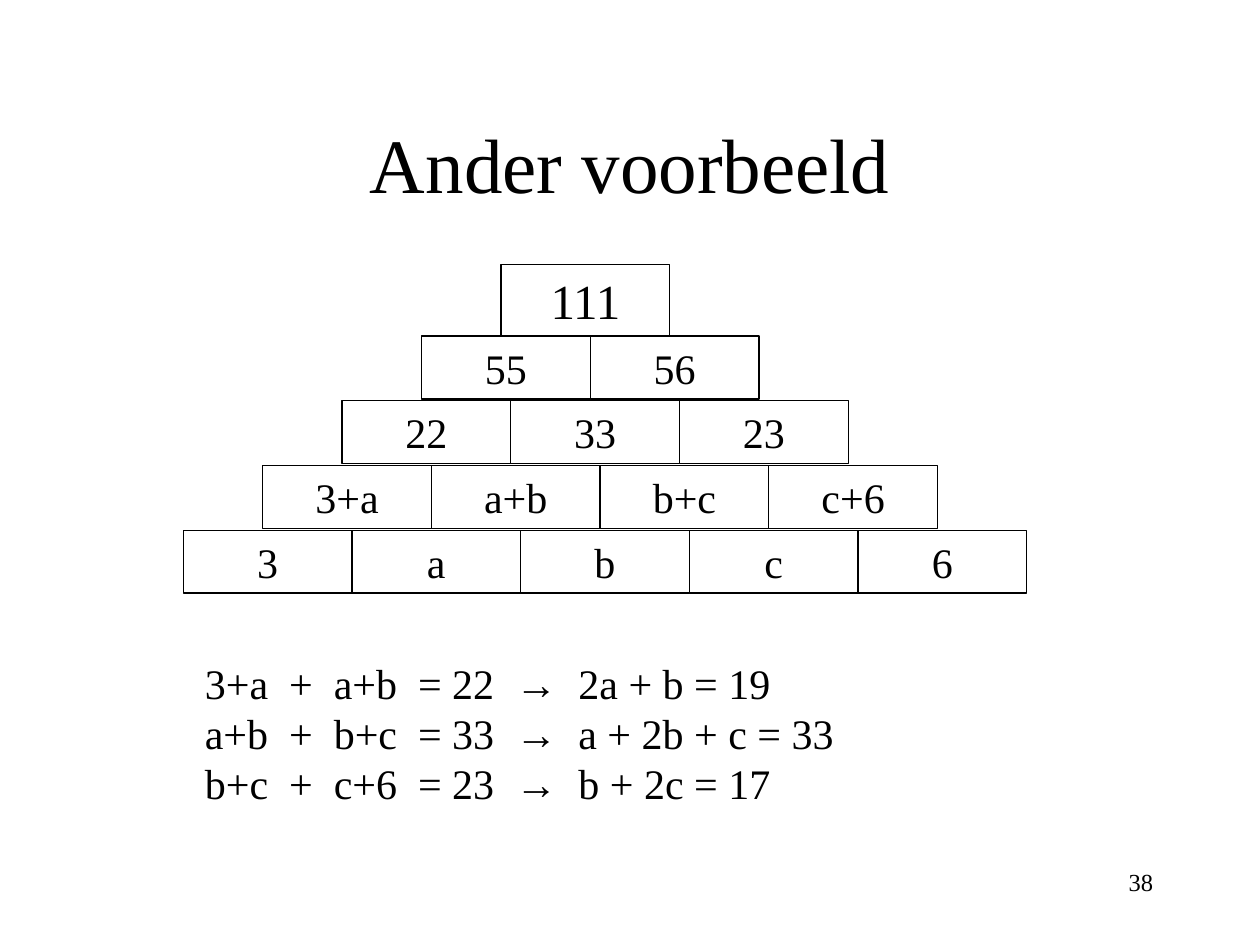
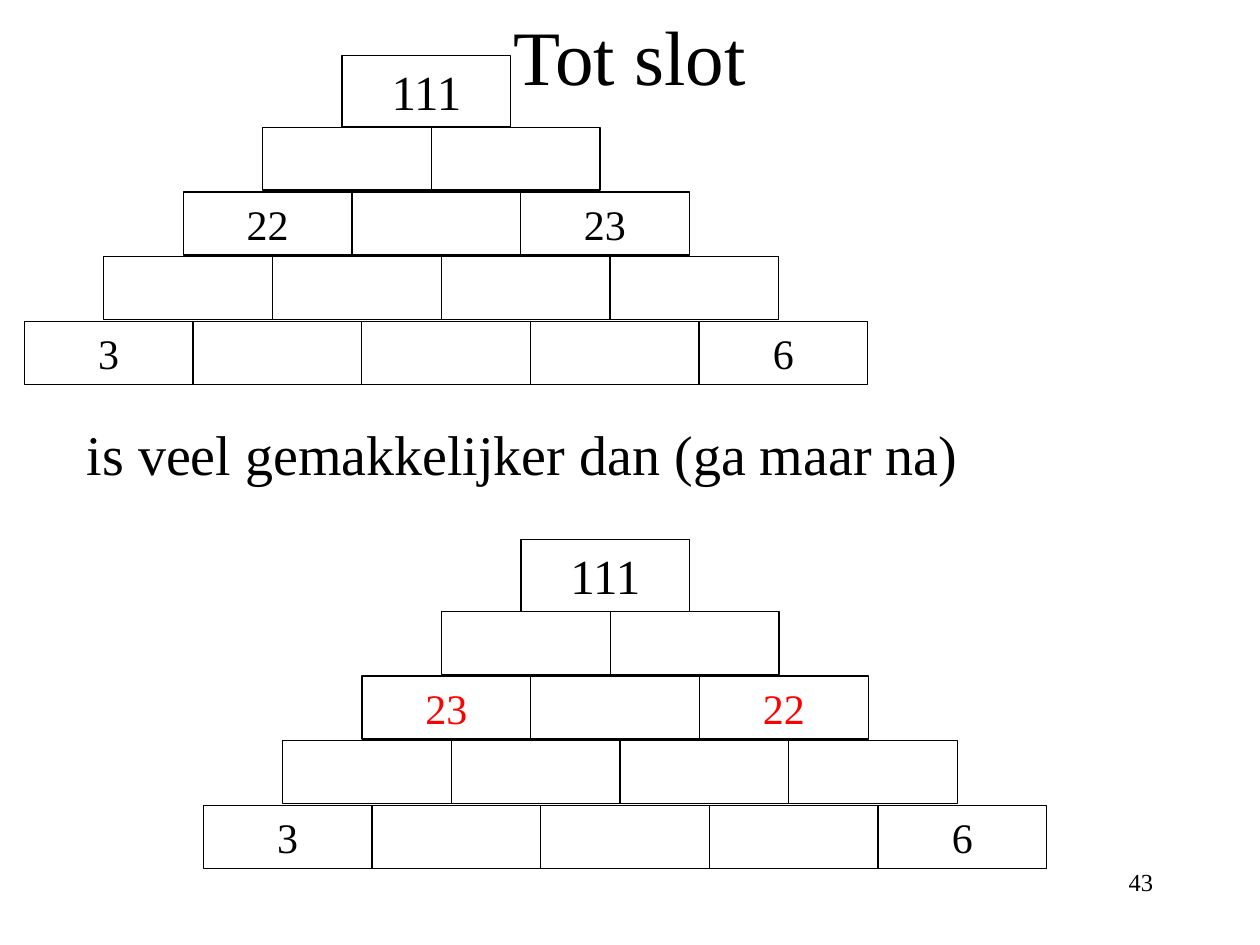
"""Build two slides with number pyramids and the equations behind them."""
from pptx import Presentation
from pptx.dml.color import RGBColor
from pptx.enum.shapes import MSO_SHAPE
from pptx.enum.text import MSO_ANCHOR, PP_ALIGN
from pptx.util import Pt

RECT = MSO_SHAPE.RECTANGLE
TOP, MIDDLE = MSO_ANCHOR.TOP, MSO_ANCHOR.MIDDLE
LEFT, CENTER, RIGHT = PP_ALIGN.LEFT, PP_ALIGN.CENTER, PP_ALIGN.RIGHT
BLACK = RGBColor(0x00, 0x00, 0x00)
RED = RGBColor(0xFF, 0x00, 0x00)
SERIF, SANS = "Times New Roman", "Arial"
ARROW = "→"
BRICK, SHIFT = 96.4, 45.4
CAP, ROW, PITCH = 41, 36, 37


def write(shape, lines, size, align=LEFT, anchor=TOP, color=BLACK):
    frame = shape.text_frame
    frame.word_wrap = True
    frame.vertical_anchor = anchor
    for i, parts in enumerate(lines):
        para = frame.add_paragraph() if i else frame.paragraphs[0]
        para.alignment = align
        for part in parts:
            run = para.add_run()
            run.text = part
            run.font.size = Pt(size)
            run.font.name = SANS if part == ARROW else SERIF
            run.font.color.rgb = color
    return frame


def stack(slide, left, top, rows, marked=()):
    group = slide.shapes.add_group_shape()
    for r, row in enumerate(rows):
        y = top + (CAP + PITCH * (r - 1) if r else 0)
        for c, value in enumerate(row):
            x = left - SHIFT * r + BRICK * c
            brick = group.shapes.add_shape(
                RECT, Pt(x), Pt(y), Pt(BRICK), Pt(ROW if r else CAP))
            brick.shadow.inherit = False
            brick.fill.background()
            brick.line.color.rgb = BLACK
            brick.line.width = Pt(0.75)
            if value:
                color = RED if value in marked else BLACK
                write(brick, [[value]], 24 if r else 28, CENTER, color=color)


prs = Presentation()
prs.slide_width, prs.slide_height = Pt(720), Pt(540)
blank = prs.slide_layouts[6]

slides = []
for title, top, number in (("Ander voorbeeld", 48, "38"), ("Tot slot", -13.5, "43")):
    slide = prs.slides.add_slide(blank)
    head = slide.shapes.add_textbox(Pt(54), Pt(top), Pt(612), Pt(90))
    write(head, [[title]], 44, CENTER, MIDDLE)
    foot = slide.shapes.add_textbox(Pt(516), Pt(492), Pt(150), Pt(36))
    write(foot, [[number]], 14, RIGHT)
    slides.append(slide)
solved, final = slides

stack(solved, 286.3, 151, [
    ["111"],
    ["55", "56"],
    ["22", "33", "23"],
    ["3+a", "a+b", "b+c", "c+6"],
    ["3", "a", "b", "c", "6"],
])
sums = solved.shapes.add_textbox(Pt(110), Pt(372), Pt(487.5), Pt(93.5))
write(sums, [
    ["3+a  +  a+b  = 22  ", ARROW, "  2a + b = 19"],
    ["a+b  +  b+c  = 33  ", ARROW, "  a + 2b + c = 33"],
    ["b+c  +  c+6  = 23  ", ARROW, "  b + 2c = 17"],
], 24)

claim = final.shapes.add_textbox(Pt(42.5), Pt(236), Pt(590), Pt(68))
frame = write(claim, [["is veel gemakkelijker dan (ga maar na)"]], 32)
frame.paragraphs[0].space_before = Pt(8)

for left, top, first, last, marked in (
        (195.5, 31.7, "22", "23", ()),
        (297.7, 308.3, "23", "22", ("22", "23"))):
    stack(final, left, top, [
        ["111"],
        [""] * 2,
        [first, "", last],
        [""] * 4,
        ["3", "", "", "", "6"],
    ], marked)

prs.save("out.pptx")
